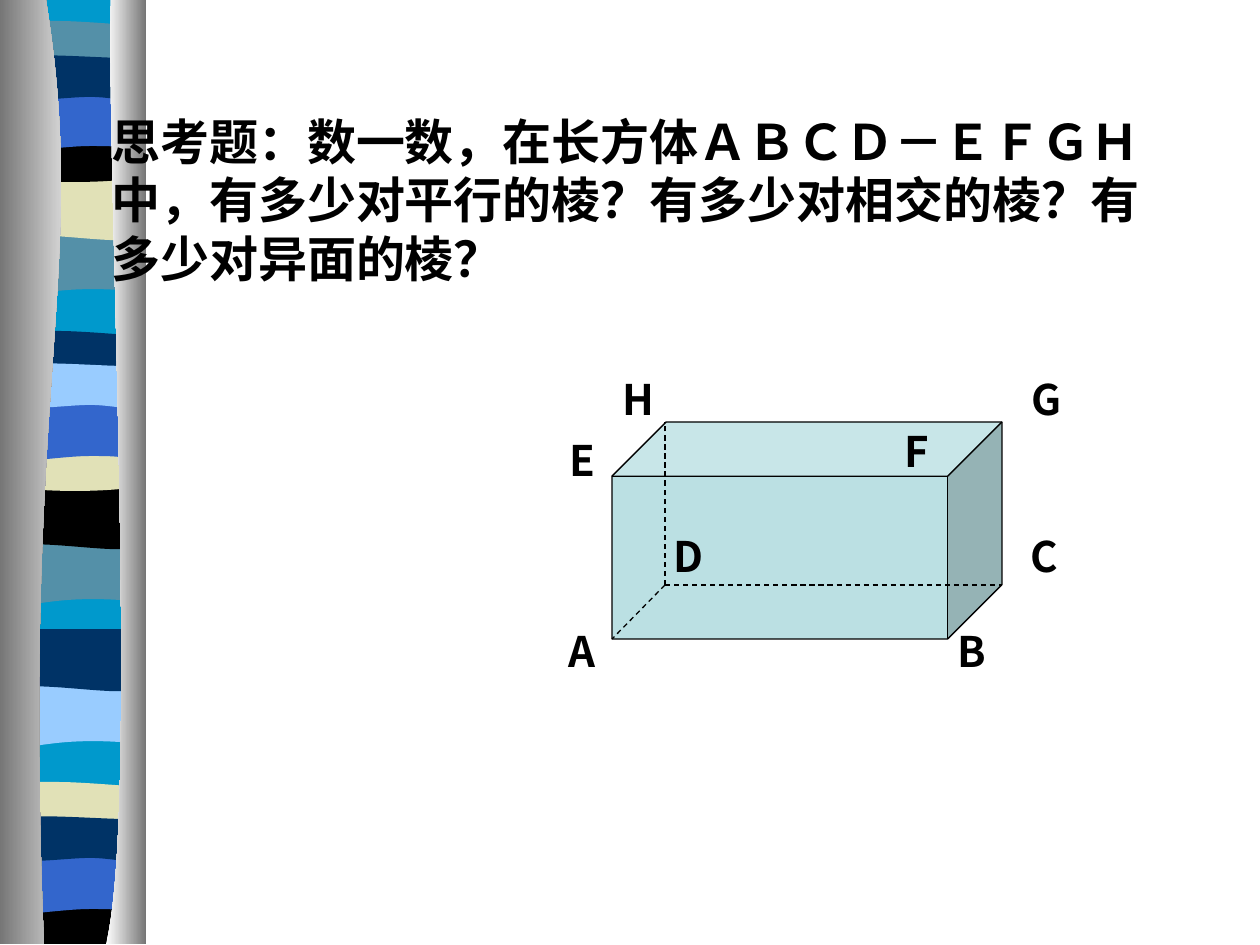
from lxml import etree
from pptx import Presentation
from pptx.dml.color import RGBColor
from pptx.enum.dml import MSO_LINE
from pptx.enum.shapes import MSO_CONNECTOR, MSO_SHAPE
from pptx.enum.text import MSO_ANCHOR, MSO_AUTO_SIZE
from pptx.oxml.ns import qn
from pptx.util import Emu, Pt

CUBE, STRAIGHT, DASH = MSO_SHAPE.CUBE, MSO_CONNECTOR.STRAIGHT, MSO_LINE.DASH
MIDDLE, TOP = MSO_ANCHOR.MIDDLE, MSO_ANCHOR.TOP
GROW, FIXED = MSO_AUTO_SIZE.SHAPE_TO_FIT_TEXT, MSO_AUTO_SIZE.NONE

EMU_PER_PX = 914400 / 126

THEME = {
    "sky": "0099CC", "teal": "5490A8", "sand": "E1E1B7", "black": "000000",
    "blue": "3366CC", "navy": "003366", "pale": "99CCFF",
    "white": "FFFFFF", "grey": "767676", "cube": "BBE0E3",
    "question": ("Times New Roman", 28, 33.4),  # font, size, line pitch
    "vertex": ("Noto Sans CJK SC", 24, 28.5),
    "cjk": "Noto Sans CJK SC",
    "edge": 0.75,
}

prs = Presentation()
prs.slide_width, prs.slide_height = Emu(9144000), Emu(6858000)
slide = prs.slides.add_slide(prs.slide_layouts[6])
shapes = slide.shapes


def add_outline(steps, left=0, top=0):
    """Closed outline from px steps: 2 numbers are a line, 6 a cubic curve."""
    points = [(round((step[i] + left) * EMU_PER_PX), round((step[i + 1] + top) * EMU_PER_PX))
              for step in steps for i in range(0, len(step), 2)]
    builder = shapes.build_freeform(*points[0])
    builder.add_line_segments(points[1:], close=True)
    outline = builder.convert_to_shape()
    outline.shadow.inherit = False
    outline.line.fill.background()
    segments = iter(list(outline._element.iter(qn("a:lnTo"))))
    for step in steps[1:]:
        segment = next(segments)
        if len(step) == 6:
            segment.tag = qn("a:cubicBezTo")
            for _ in range(2):
                extra = next(segments)
                segment.append(extra[0])
                extra.getparent().remove(extra)
    return outline


def add_text(text, box, style, anchor, auto_size):
    area = shapes.add_textbox(*(Emu(round(n * EMU_PER_PX)) for n in box))
    frame = area.text_frame
    frame.text = text
    frame.word_wrap = True
    frame.auto_size = auto_size
    frame.vertical_anchor = anchor
    paragraph = frame.paragraphs[0]
    font = paragraph.runs[0].font
    font.name, size, pitch = THEME[style]
    font.size, font.bold = Pt(size), True
    font.color.rgb = RGBColor.from_string(THEME["black"])
    paragraph.line_spacing = Pt(pitch)
    east_asian = etree.SubElement(font._element, qn("a:ea"))
    east_asian.set("typeface", THEME["cjk"])


# Striped ribbon: a few band outlines, repeated down the left side
BAND = {
    "base": [(136, 0), (136, 942), (0, 942), (0, 0)],
    "tail": [(136, 0), (136, 59), (42, 49, 23, 69, 0, 59), (0, 0)],
    "swell": [(136, 0), (136, 59), (113, 69, 42, 52, 0, 59), (0, 0)],
    "lens": [(136, 6), (136, 37), (113, 42, 23, 42, 0, 37), (0, 6),
             (8, 0, 29, 1, 52, 1), (74, 1, 118, 5, 136, 6)],
    "dip": [(136, 0), (136, 40), (113, 48, 23, 48, 0, 40), (0, 0),
            (83, 6, 107, 0, 136, 0)],
    "arch": [(136, 0), (136, 59), (115, 53, 106, 53, 83, 53),
             (60, 53, 20, 59, 0, 59), (0, 0)],
    "ripple": [(136, 6), (136, 45), (127, 52, 106, 45, 83, 45),
               (60, 45, 14, 52, 0, 45), (0, 6),
               (19, 0, 92, 6, 115, 6), (137, 6, 132, 6, 136, 6)],
    "foot": [(136, 0), (136, 47), (0, 47), (0, 0), (83, 6, 107, 0, 136, 0)],
}
RIBBON = [
    ("base", 0, "sky"),
    ("tail", 233, "teal"), ("swell", 178, "sand"), ("lens", 20, "teal"),
    ("dip", 136, "black"), ("arch", 93, "blue"), ("ripple", 52, "navy"),
    ("tail", 543, "teal"), ("swell", 487, "black"), ("lens", 330, "navy"),
    ("dip", 445, "sand"), ("arch", 403, "blue"), ("ripple", 360, "pale"),
    ("tail", 685, "pale"), ("swell", 629, "navy"), ("lens", 781, "sand"),
    ("foot", 897, "black"), ("arch", 856, "blue"), ("ripple", 813, "navy"),
]
for band, top, color in RIBBON:
    stripe = add_outline(BAND[band], 7, top)
    stripe.fill.solid()
    stripe.fill.fore_color.rgb = RGBColor.from_string(THEME[color])

# Shaded curtains that give the ribbon its wavy sides
CURTAINS = [
    ([(46, 0), (90, 272, 21, 373, 44, 944), (0, 944), (0, 0)], ("grey", "white")),
    ([(111, 0), (106, 158, 140, 814, 106, 944), (146, 944), (146, 0)], ("white", "grey")),
]
for steps, shades in CURTAINS:
    curtain = add_outline(steps)
    curtain.fill.gradient()
    curtain.fill.gradient_angle = 0
    for position, (stop, shade) in enumerate(zip(curtain.fill.gradient_stops, shades)):
        stop.position = position
        stop.color.rgb = RGBColor.from_string(THEME[shade])

# Cuboid with its three hidden edges meeting at D
cuboid = shapes.add_shape(CUBE, *(Emu(round(n * EMU_PER_PX)) for n in (612, 422, 390, 217)))
cuboid.adjustments[0] = 0.25
cuboid.shadow.inherit = False
cuboid.fill.solid()
cuboid.fill.fore_color.rgb = RGBColor.from_string(THEME["cube"])
cuboid.line.color.rgb = RGBColor.from_string(THEME["black"])
cuboid.line.width = Pt(THEME["edge"])

corner_d = (665, 585)
for corner in [(665, 422), (1002, 585), (612, 639)]:
    hidden_edge = shapes.add_connector(
        STRAIGHT, *(Emu(round(n * EMU_PER_PX)) for n in corner_d + corner))
    hidden_edge.line.color.rgb = RGBColor.from_string(THEME["black"])
    hidden_edge.line.width = Pt(THEME["edge"])
    hidden_edge.line.dash_style = DASH
    etree.SubElement(hidden_edge._element.spPr, qn("a:effectLst"))

VERTICES = [
    ("A", 556, 620, 91), ("C", 1018, 525, 118), ("B", 945, 620, 100),
    ("D", 661, 525, 97), ("F", 892, 420, 120), ("E", 557, 429, 139),
    ("G", 1019, 368, 135), ("H", 610, 368, 100),
]
for vertex, left, top, height in VERTICES:
    add_text(vertex, (left, top, 94, height), "vertex", TOP, FIXED)

add_text("思考题：数一数，在长方体ＡＢＣＤ－ＥＦＧＨ中，有多少对平行的棱？"
         "有多少对相交的棱？有多少对异面的棱？",
         (99, 105, 1076, 189), "question", MIDDLE, GROW)

prs.save("out.pptx")
